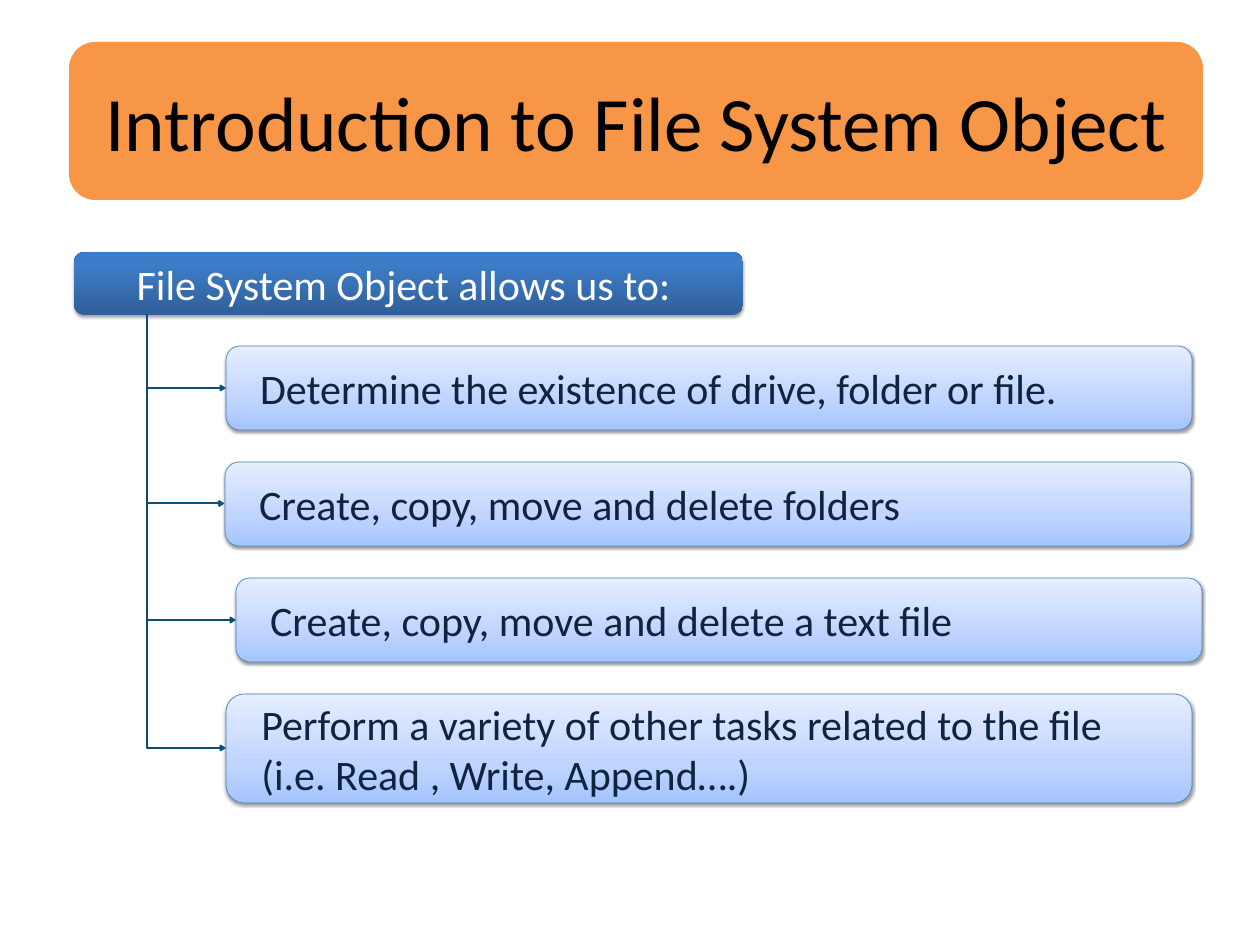
import pptx
import pptx.util
import pptx.dml.color
import pptx.enum.shapes
import pptx.enum.text
import pptx.oxml.ns
import lxml.etree

PX = 14514  # EMU per px, 63 px to the inch
COLORS = {
    "title": "F79646", "title_text": "000000", "heading_text": "FFFFFF",
    "task_line": "4B7EBC", "task_text": "0F243E", "arrow": "0B4E78",
    "task_low": "A4C4FF", "task_mid": "BFD4FF", "task_high": "E6EEFF",
    "heading_low": "2F5F99", "heading_mid": "3D7CC7", "heading_high": "3A7CCB",
    "shadow": "000000",
}
rgb = pptx.dml.color.RGBColor.from_string
qn = pptx.oxml.ns.qn
add_element = lxml.etree.SubElement

prs = pptx.Presentation()
prs.slide_width = pptx.util.Inches(20)
prs.slide_height = pptx.util.Inches(15)
slide = prs.slides.add_slide(prs.slide_layouts[6])


def add_panel(box, text, size, color, inset, alignment):
    panel = slide.shapes.add_shape(
        pptx.enum.shapes.MSO_SHAPE.ROUNDED_RECTANGLE, *(v * PX for v in box))
    panel.shadow.inherit = False
    panel.line.fill.background()
    frame = panel.text_frame
    frame.word_wrap = True
    frame.vertical_anchor = pptx.enum.text.MSO_ANCHOR.MIDDLE
    frame.margin_left = frame.margin_right = inset * PX
    frame.margin_top = frame.margin_bottom = inset * PX // 2
    frame.text = text
    paragraph = frame.paragraphs[0]
    paragraph.alignment = alignment
    font = paragraph.runs[0].font
    font.name = "Calibri"
    font.size = pptx.util.Pt(size)
    font.color.rgb = rgb(color)
    return panel


def add_gloss(panel, part, mid_position, shadow_alpha):
    """Fill with a bottom-to-top gradient and cast a soft shadow below."""
    panel.fill.gradient()
    panel.fill.gradient_angle = 90
    properties = panel.element.spPr
    stops = properties.find(qn("a:gradFill")).find(qn("a:gsLst"))
    for stop in list(stops):
        stops.remove(stop)
    for level, position in (("low", 0), ("mid", mid_position), ("high", 100)):
        stop = add_element(stops, qn("a:gs"), pos=str(position * 1000))
        add_element(stop, qn("a:srgbClr"), val=COLORS[f"{part}_{level}"])
    shadow = add_element(
        properties.find(qn("a:effectLst")), qn("a:outerShdw"),
        blurRad="40000", dist="20000", dir="5400000", rotWithShape="0")
    shade = add_element(shadow, qn("a:srgbClr"), val=COLORS["shadow"])
    add_element(shade, qn("a:alpha"), val=str(shadow_alpha * 1000))


# Title
align = pptx.enum.text.PP_ALIGN
title = add_panel((69, 42, 1134, 158), "Introduction to File System Object",
                  88, COLORS["title_text"], 12, align.CENTER)
title.fill.solid()
title.fill.fore_color.rgb = rgb(COLORS["title"])

# Heading of the list
heading = add_panel((74, 252, 669, 63), "File System Object allows us to: ",
                    48, COLORS["heading_text"], 6, align.CENTER)
add_gloss(heading, "heading", 80, 35)

# Tasks, each with an elbow arrow from the heading
trunk_x, trunk_top = 147, 315
tasks = [
    (226, 346, 84, "Determine the existence of drive, folder or file."),
    (225, 462, 84, "Create, copy, move and delete folders"),
    (236, 578, 84, "Create, copy, move and delete a text file"),
    (226, 694, 109, "Perform a variety of other tasks related to the file "
                    "(i.e. Read , Write, Append….)"),
]
for left, top, height, text in tasks:
    task = add_panel((left, top, 966, height), text, 48,
                     COLORS["task_text"], 12, align.LEFT)
    task.line.color.rgb = rgb(COLORS["task_line"])
    task.line.width = pptx.util.Pt(0.75)
    indent = task.text_frame.paragraphs[0]._p.get_or_add_pPr()
    indent.set("marL", str(18 * PX))
    indent.set("indent", "0")
    add_gloss(task, "task", 35, 38)

    # The elbow is stored turned by 270 degrees, so its sides are swapped
    across = left - trunk_x
    down = top + height // 2 - trunk_top
    frame_left = trunk_x + (across - down) // 2
    frame_top = trunk_top + (down - across) // 2
    arrow = slide.shapes.add_connector(
        pptx.enum.shapes.MSO_CONNECTOR.ELBOW, frame_left * PX, frame_top * PX,
        (frame_left + down) * PX, (frame_top + across) * PX)
    arrow.line.color.rgb = rgb(COLORS["arrow"])
    arrow.line.width = pptx.util.Pt(2.25)
    properties = arrow.element.spPr
    properties.find(qn("a:prstGeom")).set("prst", "bentConnector2")
    turn = properties.find(qn("a:xfrm"))
    turn.set("rot", "16200000")
    turn.set("flipH", "1")
    add_element(properties.find(qn("a:ln")), qn("a:tailEnd"), type="arrow")
    add_element(properties, qn("a:effectLst"))

prs.save("out.pptx")
